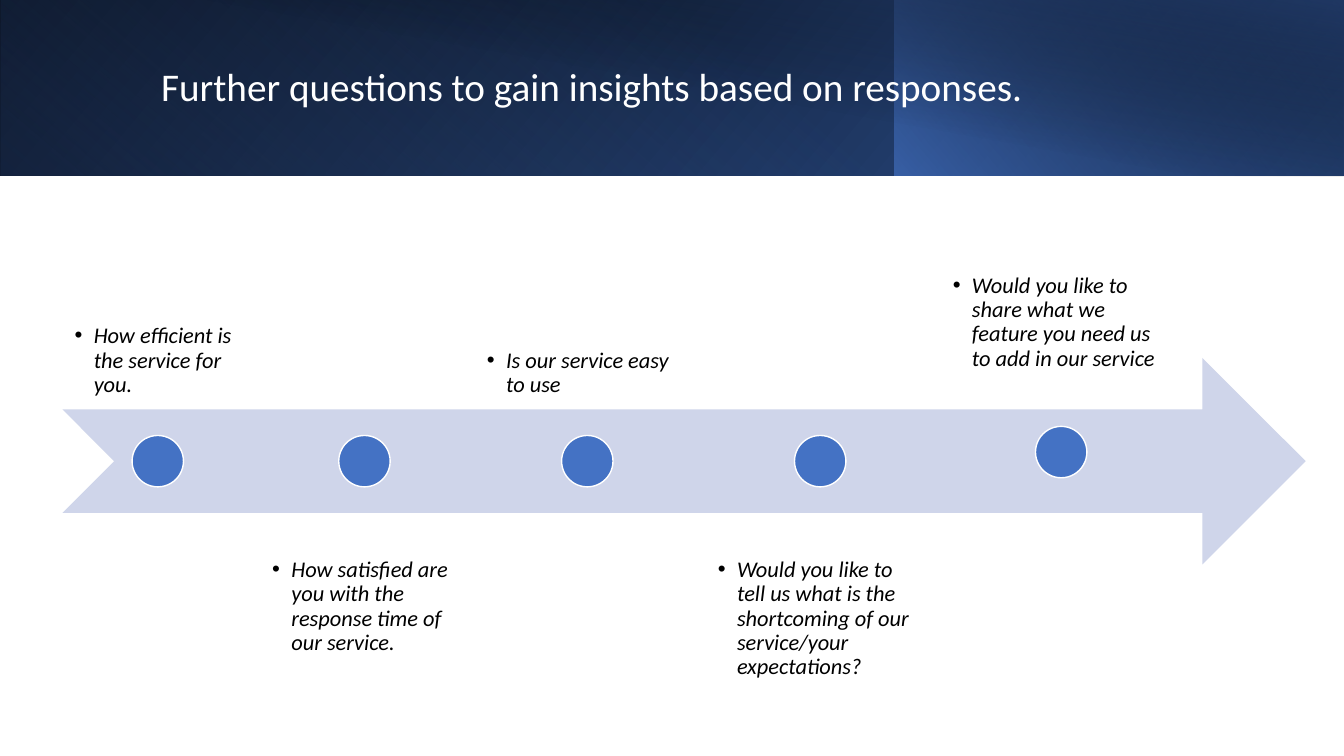
from dataclasses import dataclass

from lxml import etree
from pptx import Presentation
from pptx.dml.color import RGBColor
from pptx.enum.shapes import MSO_SHAPE
from pptx.enum.text import MSO_ANCHOR
from pptx.oxml.ns import qn
from pptx.util import Inches, Pt

RECT = MSO_SHAPE.RECTANGLE
ELLIPSE = MSO_SHAPE.OVAL
ARROW = MSO_SHAPE.NOTCHED_RIGHT_ARROW
TOP = MSO_ANCHOR.TOP
MIDDLE = MSO_ANCHOR.MIDDLE
BOTTOM = MSO_ANCHOR.BOTTOM

BLACK = RGBColor(0x00, 0x00, 0x00)
WHITE = RGBColor(0xFF, 0xFF, 0xFF)
BLUE = RGBColor(0x44, 0x72, 0xC4)
MID_BLUE = RGBColor(0x2F, 0x55, 0x97)
NAVY = RGBColor(0x20, 0x38, 0x64)
PALE_BLUE = RGBColor(0xCF, 0xD5, 0xEA)

FONT = "Calibri"
DOT_SIZE = 0.51
PADDING = 0.12
LOWER_PADDING = 0.46
INDENT = 0.19


@dataclass
class Stop:
    position: int
    color: RGBColor
    alpha: int = 100


@dataclass
class Band:
    left: float
    width: float
    height: float
    angle: int
    stops: tuple[Stop, Stop]
    flip: bool = True
    rotation: int = 0


@dataclass
class Question:
    text: str
    left: float
    top: float
    width: float
    height: float
    anchor: MSO_ANCHOR
    dot_left: float
    dot_top: float = 4.32


BANDS = [
    Band(0, 13.33, 1.74, 140, (Stop(0, BLACK), Stop(100, MID_BLUE))),
    Band(0, 8.88, 1.74, 230, (Stop(20, BLUE, 0), Stop(100, NAVY, 55)), rotation=180),
    Band(8.87, 4.46, 1.74, 220, (Stop(0, BLUE, 66), Stop(100, BLACK, 30))),
    Band(0.5, 12.83, 1.75, 280, (Stop(50, BLACK, 0), Stop(99, NAVY, 52)), flip=False),
]

QUESTIONS = [
    Question("How efficient is the service for you.",
             0.62, 2.01, 1.9, 2.05, BOTTOM, 1.31),
    Question("How satisfied are you with the response time of our service.",
             2.58, 5.08, 2.08, 2.05, TOP, 3.36),
    Question("Is our service easy to use",
             4.71, 2.01, 2.23, 2.05, BOTTOM, 5.57),
    Question("Would you like to tell us what is the shortcoming of our "
             "service/your expectations?",
             7, 5.08, 2.28, 2.05, TOP, 7.88),
    Question("Would you like to share what we feature you need us to add in our service",
             9.33, 2.1, 2.38, 1.7, BOTTOM, 10.27, 4.23),
]


def add_preset(slide, kind, left, top, width, height, color):
    sp = slide.shapes.add_shape(
        kind, Inches(left), Inches(top), Inches(width), Inches(height))
    sp.shadow.inherit = False
    sp.fill.solid()
    sp.fill.fore_color.rgb = color
    sp.line.fill.background()
    return sp


def add_band(slide, band: Band) -> None:
    sp = add_preset(slide, RECT, band.left, 0, band.width, band.height, NAVY)
    sp.rotation = band.rotation
    props = sp._element.spPr
    if band.flip:
        props.find(qn("a:xfrm")).set("flipH", "1")
    grad = etree.Element(qn("a:gradFill"), rotWithShape="1")
    stops = etree.SubElement(grad, qn("a:gsLst"))
    for stop in band.stops:
        gs = etree.SubElement(stops, qn("a:gs"), pos=str(stop.position * 1000))
        color = etree.SubElement(gs, qn("a:srgbClr"), val=str(stop.color))
        etree.SubElement(color, qn("a:alpha"), val=str(stop.alpha * 1000))
    etree.SubElement(grad, qn("a:lin"), ang=str(band.angle * 60000), scaled="0")
    props.replace(props.find(qn("a:solidFill")), grad)


def add_text(slide, text: str, left: float, top: float, width: float,
             height: float, anchor: MSO_ANCHOR, size: int, color: RGBColor):
    sp = slide.shapes.add_textbox(
        Inches(left), Inches(top), Inches(width), Inches(height))
    tf = sp.text_frame
    tf.word_wrap = True
    tf.vertical_anchor = anchor
    p = tf.paragraphs[0]
    p.line_spacing = 0.9
    r = p.add_run()
    r.text = text
    r.font.name = FONT
    r.font.size = Pt(size)
    r.font.color.rgb = color
    return tf


def add_question(slide, q: Question) -> None:
    tf = add_text(slide, q.text, q.left, q.top, q.width, q.height,
                  q.anchor, 16, BLACK)
    tf.margin_left = tf.margin_right = tf.margin_bottom = Inches(PADDING)
    tf.margin_top = Inches(LOWER_PADDING if q.anchor == TOP else PADDING)
    p = tf.paragraphs[0]
    p.runs[0].font.italic = True
    props = p._p.get_or_add_pPr()
    props.set("marL", str(Inches(INDENT)))
    props.set("indent", str(-Inches(INDENT)))
    etree.SubElement(props, qn("a:buFont"), typeface="Arial")
    etree.SubElement(props, qn("a:buChar"), char="•")

    dot = add_preset(slide, ELLIPSE, q.dot_left, q.dot_top, DOT_SIZE, DOT_SIZE, BLUE)
    dot.line.color.rgb = WHITE
    dot.line.width = Pt(1)


def main() -> None:
    prs = Presentation()
    prs.slide_width = Inches(13.33)
    prs.slide_height = Inches(7.5)
    slide = prs.slides.add_slide(prs.slide_layouts[6])
    for band in BANDS:
        add_band(slide, band)
    add_text(slide, "Further questions to gain insights based on responses.",
             1.5, 0.32, 10.82, 1.13, MIDDLE, 28, WHITE)
    add_preset(slide, ARROW, 0.62, 3.55, 12.33, 2.05, PALE_BLUE)
    for question in QUESTIONS:
        add_question(slide, question)
    prs.save("out.pptx")


if __name__ == "__main__":
    main()
